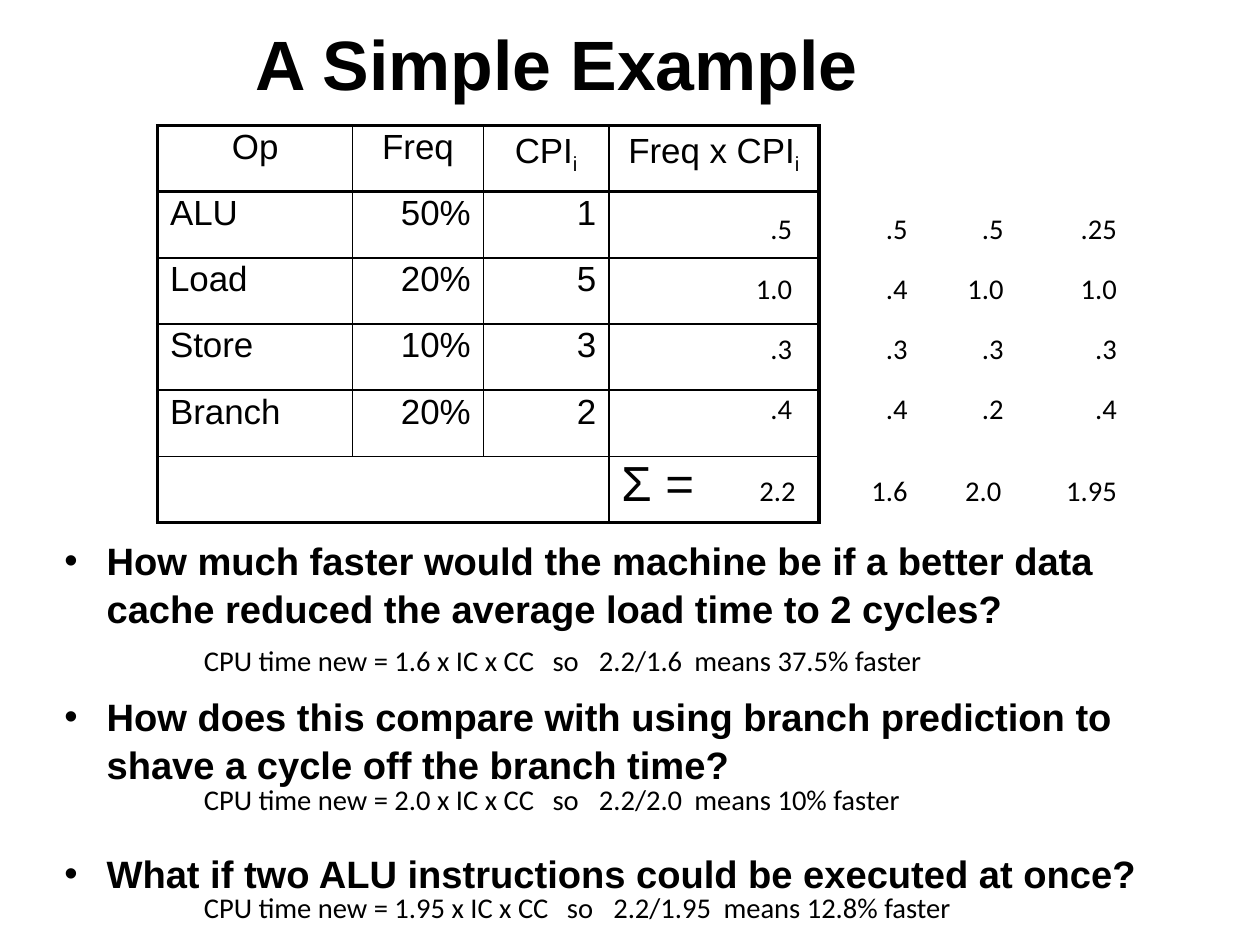
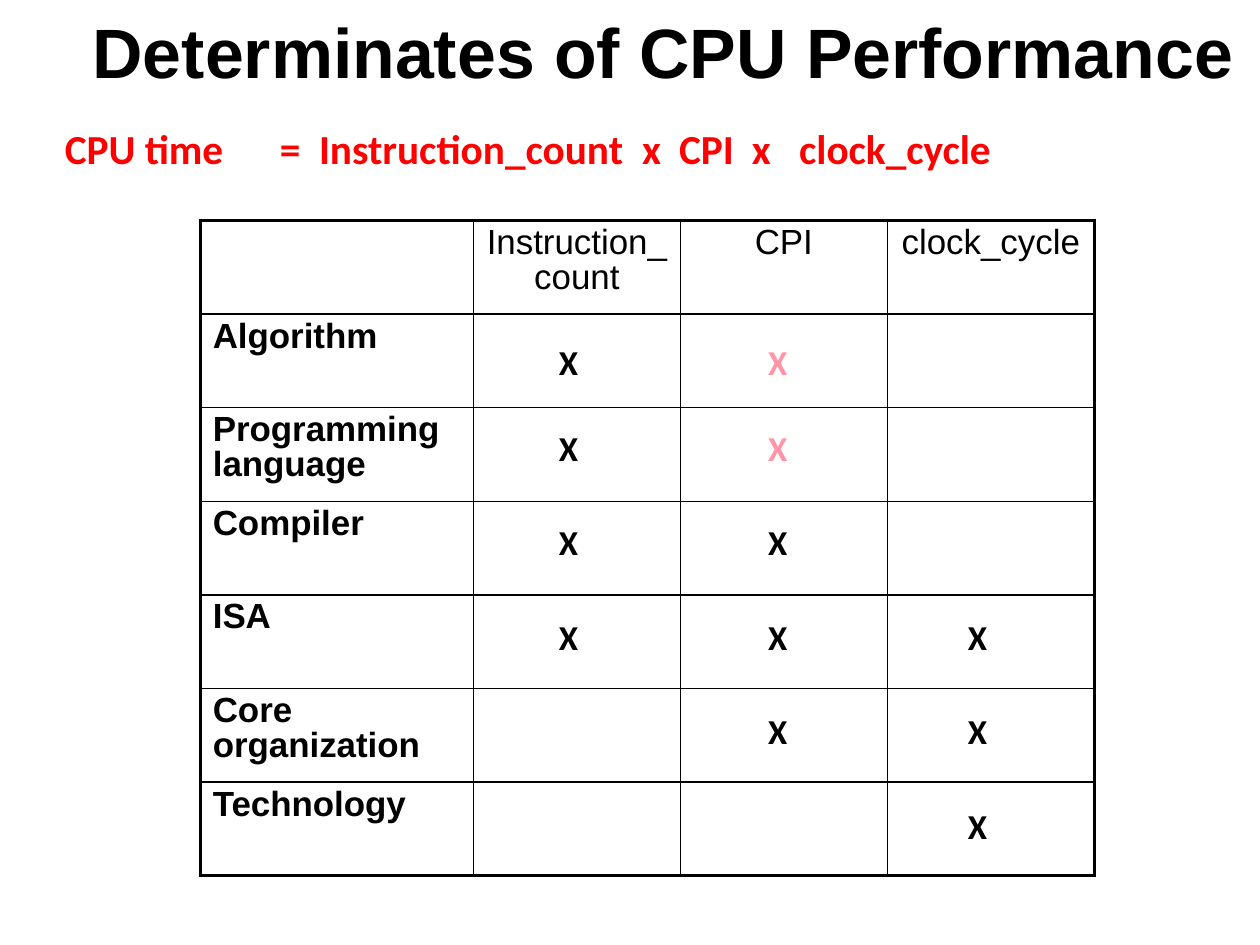
import pptx
import pptx.dml.color
import pptx.enum.text
import pptx.oxml.ns
import pptx.util
from lxml import etree

Cm = pptx.util.Cm
Pt = pptx.util.Pt
qn = pptx.oxml.ns.qn
ALIGN = pptx.enum.text.PP_ALIGN
ANCHOR = pptx.enum.text.MSO_ANCHOR

COLORS = {"ink": "000000", "formula": "FF0000", "faint": "FF95A7"}
HEADING_FONT = "Arial"
NOTE_FONT = "Calibri"
THICK, THIN = 2.25, 1


class SlideBuilder:
    """Holds the shared style and the slide being filled."""

    def __init__(self, deck):
        self.deck = deck
        self.slide = None

    def new_slide(self, title, left, top, width, height):
        self.slide = self.deck.slides.add_slide(self.deck.slide_layouts[6])
        box = self.text(left, top, width, height, [title], 44, HEADING_FONT,
                        bold=True, align=ALIGN.CENTER, inset=(0, 0))
        box.text_frame.vertical_anchor = ANCHOR.MIDDLE

    def style_span(self, span, size, font, color="ink", bold=False):
        span.font.size = Pt(size)
        span.font.name = font
        span.font.bold = bold
        span.font.color.rgb = pptx.dml.color.RGBColor.from_string(COLORS[color])

    def text(self, left, top, width, height, lines, size, font, color="ink",
             bold=False, align=ALIGN.LEFT, spacing=1.0, inset=(0.28, 0.15)):
        """Add a text box with one paragraph per line."""
        box = self.slide.shapes.add_textbox(Cm(left), Cm(top), Cm(width), Cm(height))
        frame = box.text_frame
        frame.word_wrap = True
        frame.margin_left = frame.margin_right = Cm(inset[0])
        frame.margin_top = frame.margin_bottom = Cm(inset[1])
        frame.text = "\n".join(lines)
        for para in frame.paragraphs:
            para.alignment = align
            para.line_spacing = spacing
            for span in para.runs:
                self.style_span(span, size, font, color, bold)
        return box

    def bullets(self, left, top, width, height, lines):
        box = self.text(left, top, width, height, lines, 24, HEADING_FONT,
                        bold=True, spacing=1.05, inset=(0, 0))
        for para in box.text_frame.paragraphs:
            para.space_before, para.space_after = Pt(24), Pt(14.1)
            props = para._p.get_or_add_pPr()
            props.set("marL", str(Cm(0.97)))
            props.set("indent", str(Cm(-0.94)))
            etree.SubElement(props, qn("a:buFont")).set("typeface", HEADING_FONT)
            etree.SubElement(props, qn("a:buChar")).set("char", "•")

    def tabbed(self, left, top, width, height, parts, stops, size, **style):
        """Add one line whose parts start at the given tab stops."""
        box = self.text(left, top, width, height, ["\t".join(parts)], size,
                        NOTE_FONT, **style)
        props = box.text_frame.paragraphs[0]._p.get_or_add_pPr()
        tabs = etree.SubElement(props, qn("a:tabLst"))
        for stop in stops:
            etree.SubElement(tabs, qn("a:tab"), pos=str(Cm(stop)), algn="l")

    def numbers(self, right, top, height, lines):
        """Add right-aligned figures whose box ends at right."""
        self.text(right - 2, top, 2, height, lines, 18, NOTE_FONT,
                  align=ALIGN.RIGHT, spacing=1.75)

    def table(self, left, top, widths, row_height, rows, aligns,
              bold_labels=False, header_rule=THIN):
        """Add a ruled table; a pair as cell text is a base and its subscript."""
        count = len(rows)
        table = self.slide.shapes.add_table(
            count, len(widths), Cm(left), Cm(top),
            Cm(sum(widths)), Cm(row_height * count)).table
        table.first_row = table.horz_banding = False
        for column, width in zip(table.columns, widths):
            column.width = Cm(width)
        for r, row in enumerate(rows):
            table.rows[r].height = Cm(row_height)
            for c, content in enumerate(row):
                cell = table.cell(r, c)
                self.cell_text(cell, content, ALIGN.CENTER if r == 0 else aligns[c],
                               bold_labels and r > 0)
                cell.fill.background()
                self.cell_borders(cell, {
                    "L": THICK if c == 0 else THIN,
                    "R": THICK if c == len(widths) - 1 else THIN,
                    "T": THICK if r == 0 else header_rule if r == 1 else THIN,
                    "B": THICK if r == count - 1 else header_rule if r == 0 else THIN})
        return table

    def cell_text(self, cell, content, align, bold):
        cell.margin_left = cell.margin_right = Cm(0.28)
        cell.margin_top = cell.margin_bottom = Cm(0.13)
        if not content:
            return
        base, subscript = content if isinstance(content, tuple) else (content, "")
        para = cell.text_frame.paragraphs[0]
        para.text = base
        para.alignment = align
        para.line_spacing = 0.9
        if subscript:
            para.add_run().text = subscript
            para.runs[1]._r.get_or_add_rPr().set("baseline", "-25000")
        for span in para.runs:
            self.style_span(span, 22, HEADING_FONT, bold=bold)

    def cell_borders(self, cell, weights):
        props = cell._tc.get_or_add_tcPr()
        for place, (side, weight) in enumerate(weights.items()):
            line = etree.Element(qn("a:ln" + side), w=str(Pt(weight)))
            fill = etree.SubElement(line, qn("a:solidFill"))
            etree.SubElement(fill, qn("a:srgbClr"), val=COLORS["ink"])
            props.insert(place, line)


def simple_example(builder):
    builder.new_slide("A Simple Example", 0.71, 0.46, 23.34, 1.85)
    builder.bullets(1.4, 11.89, 25.2, 6.83, [
        "How much faster would the machine be if a better data cache reduced "
        "the average load time to 2 cycles?",
        "How does this compare with using branch prediction to shave a cycle "
        "off the branch time?",
        "What if two ALU instructions could be executed at once?"])
    table = builder.table(
        3.5, 2.79, [4.34, 2.9, 2.79, 4.67], 1.47,
        [["Op", "Freq", ("CPI", "i"), ("Freq x CPI", "i")],
         ["ALU", "50%", "1", ""],
         ["Load", "20%", "5", ""],
         ["Store", "10%", "3", ""],
         ["Branch", "20%", "2", ""],
         ["", "", "", "Σ ="]],
        [ALIGN.LEFT, ALIGN.RIGHT, ALIGN.RIGHT, ALIGN.LEFT], header_rule=THICK)
    table.cell(5, 0).merge(table.cell(5, 2))
    table.cell(5, 3).text_frame.paragraphs[0].runs[0].font.size = Pt(31)

    for right, values, total_right, total in [
            (17.88, [".5", "1.0", ".3", ".4"], 17.96, "2.2"),
            (20.45, [".5", ".4", ".3", ".4"], 20.45, "1.6"),
            (22.58, [".5", "1.0", ".3", ".2"], 22.53, "2.0"),
            (25.1, [".25", "1.0", ".3", ".4"], 25.1, "1.95")]:
        builder.numbers(right, 3.96, 5.61, values)
        builder.numbers(total_right, 9.8, 1.6, [total])

    short_stops, long_stops = [7.75, 8.78, 10.9], [8.07, 9.1, 11.55]
    for top, cpi, gain, stops in [(13.56, "1.6", "37.5%", short_stops),
                                  (16.66, "2.0", "10%", short_stops),
                                  (19.05, "1.95", "12.8%", long_stops)]:
        builder.tabbed(4.25, top, 18, 1.6,
                       [f"CPU time new = {cpi} x IC x CC", "so", f"2.2/{cpi}",
                        f"means {gain} faster"], stops, 18, spacing=1.75)


def cpu_performance(builder):
    builder.new_slide("Determinates of CPU Performance", 1.63, 0.05, 26.24, 2.16)
    builder.tabbed(1.24, 2.79, 25.58, 1.14,
                   ["CPU time", "=", "Instruction_count", "x", "CPI", "x", "clock_cycle"],
                   [4.78, 5.65, 12.83, 13.65, 15.27, 16.32], 26,
                   color="formula", bold=True, spacing=0.9, inset=(0.2, 0.08))

    # One letter per factor: X is a mark, x a faint mark, - none.
    marks = {"Algorithm": "Xx-", "Programming language": "Xx-", "Compiler": "XX-",
             "ISA": "XXX", "Core organization": "-XX", "Technology": "--X"}
    header = ["", "Instruction_count", "CPI", "clock_cycle"]
    builder.table(4.45, 4.9, [6.07, 4.6, 4.6, 4.6], 2.08,
                  [header] + [[label, "", "", ""] for label in marks],
                  [ALIGN.LEFT] * 4, bold_labels=True)
    mark_tops = [7.42] + [9.32 + 2.1 * step for step in range(5)]
    for top, row in zip(mark_tops, marks.values()):
        for left, mark in zip([12.14, 16.79, 21.23], row):
            if mark != "-":
                builder.text(left, top, 1.17, 1.22, ["X"], 22, NOTE_FONT, bold=True,
                             color="ink" if mark == "X" else "faint")


def main():
    deck = pptx.Presentation()
    deck.slide_width, deck.slide_height = Cm(28), Cm(21)
    builder = SlideBuilder(deck)
    simple_example(builder)
    cpu_performance(builder)
    deck.save("out.pptx")


if __name__ == "__main__":
    main()
